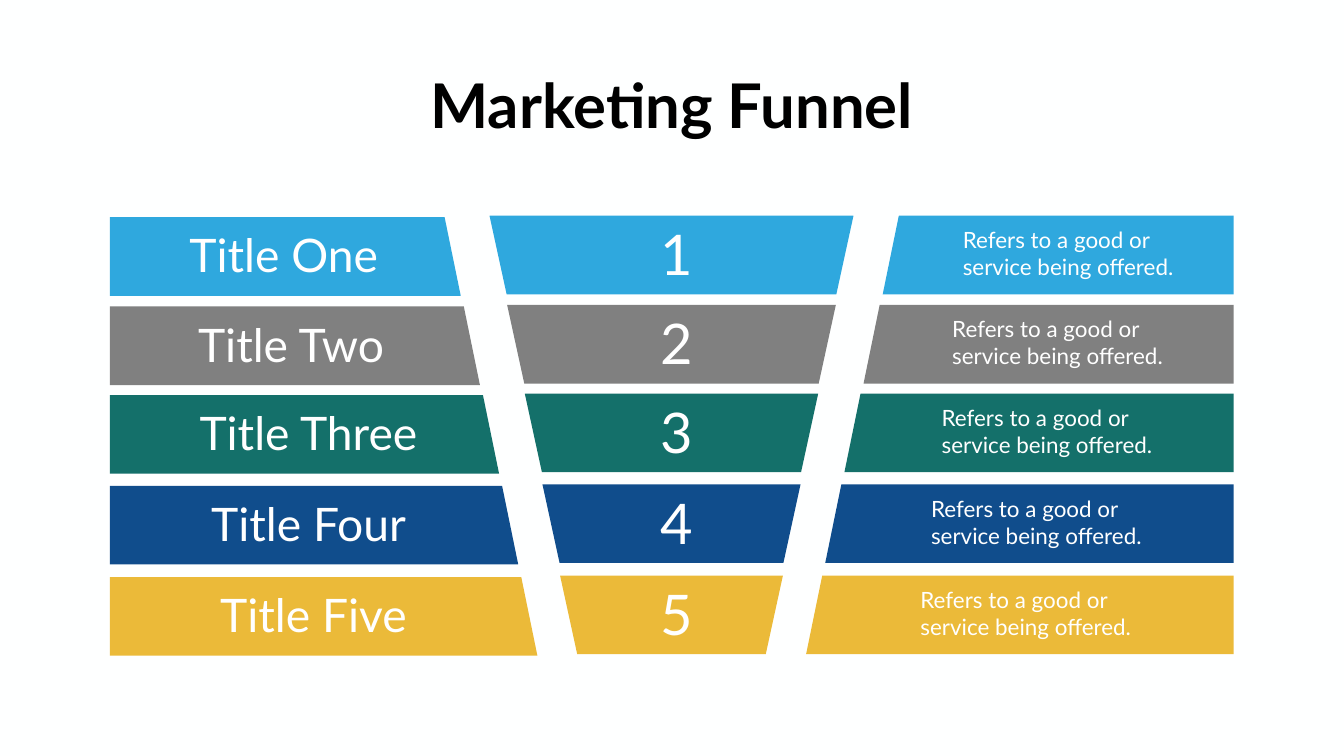
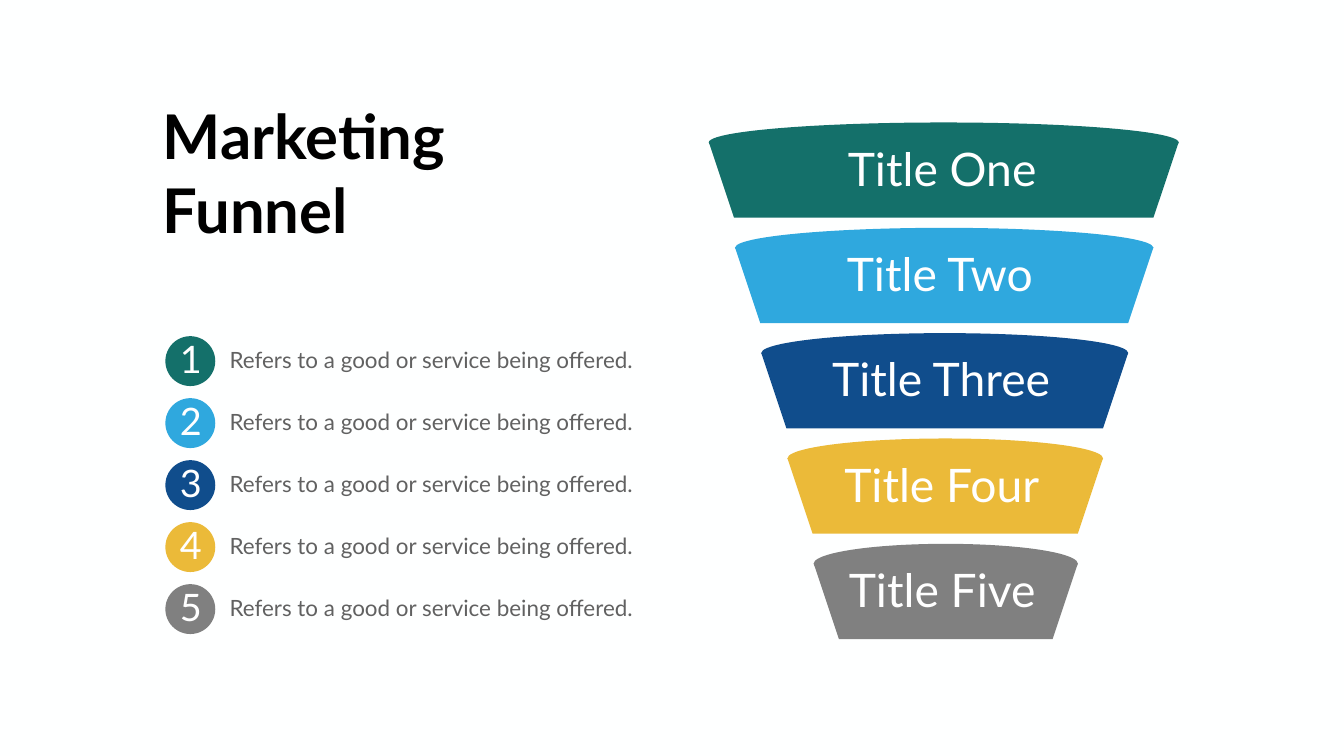
from pptx import Presentation
from pptx import util as u
from pptx.dml.color import RGBColor
from pptx.enum import shapes, text

PX = u.Inches(0.01)
FONT = "Lato"
PAPER = RGBColor(0xFE, 0xFF, 0xFF)
WHITE = RGBColor(0xFF, 0xFF, 0xFF)
BLACK = RGBColor(0x00, 0x00, 0x00)
SLATE = RGBColor(0x61, 0x61, 0x61)
SKY = RGBColor(0x2F, 0xA8, 0xDE)
GRAY = RGBColor(0x80, 0x80, 0x80)
TEAL = RGBColor(0x14, 0x70, 0x6A)
NAVY = RGBColor(0x10, 0x4D, 0x8C)
GOLD = RGBColor(0xEB, 0xBA, 0x39)

STAGES = [("Title One", 400), ("Title Two", 405), ("Title Three", 463),
          ("Title Four", 415), ("Title Five", 396)]  # label and its width
CAPTION = ["Refers to a good or", "service being offered."]
ROW_HEIGHT = 156


def add_slide(deck):
    slide = deck.slides.add_slide(deck.slide_layouts[6])
    slide.background.fill.solid()
    slide.background.fill.fore_color.rgb = PAPER
    return slide


def paint(shape, color):
    shape.shadow.inherit = False
    shape.fill.solid()
    shape.fill.fore_color.rgb = color
    shape.line.fill.background()


def add_outline(slide, points, color):
    builder = slide.shapes.build_freeform(*points[0], scale=PX)
    builder.add_line_segments(points[1:], close=True)
    paint(builder.convert_to_shape(), color)


def add_oval(slide, left, top, width, height, color):
    oval = slide.shapes.add_shape(shapes.MSO_SHAPE.OVAL,
                                  left * PX, top * PX, width * PX, height * PX)
    paint(oval, color)


def add_text(slide, box, lines, size, color=WHITE, bold=None,
             centered=False, wrap=False):
    frame = slide.shapes.add_textbox(*(side * PX for side in box)).text_frame
    frame.word_wrap = wrap
    frame.auto_size = text.MSO_AUTO_SIZE.SHAPE_TO_FIT_TEXT
    frame.text = "\n".join(lines)
    for paragraph in frame.paragraphs:
        if centered:
            paragraph.alignment = text.PP_ALIGN.CENTER
        paragraph.font.name = FONT
        paragraph.font.size = u.Pt(size)
        paragraph.font.bold = bold
        paragraph.font.color.rgb = color


def add_heading(slide, box, lines, centered=False):
    add_text(slide, box, lines, 88, BLACK, True, centered)


def add_stage_label(slide, label, left, top, width):
    add_text(slide, (left, top, width, 121), [label], 66)


def add_tier(slide, left, top, width, height, slant, color):
    """Trapezoid whose two sides lean inwards going down."""
    right, bottom = left + width, top + height
    add_outline(slide, [(left, top), (left + slant, bottom),
                        (right - slant, bottom), (right, top)], color)


def add_wing(slide, edge, top, width, toward, color):
    """Bar with a straight outer edge; toward is 1 or -1, the funnel's side."""
    inner, bottom = edge + toward * width, top + ROW_HEIGHT
    add_outline(slide, [(edge, bottom), (inner, bottom),
                        (inner - toward * 32, top), (edge, top)], color)


def add_funnel_row(slide, index, left, top, color):
    """One row of left wing, numbered tier and right wing."""
    inset, wing = 35 * index, 696 + 38 * index
    add_tier(slide, left + 753 + inset, top, 722 - 2 * inset, ROW_HEIGHT, 34, color)
    add_wing(slide, left + 2229, top, wing, -1, color)
    add_wing(slide, left, top + 3, wing, 1, color)
    add_text(slide, (left + 1083, top + 3, 85, 145), [str(index + 1)], 80)
    add_text(slide, (left + 1682 - 21 * index, top + 16, 446, 118), CAPTION, 32)


def build_winged_funnel(deck):
    slide = add_slide(deck)
    add_heading(slide, (832, 128, 1001, 158), ["Marketing Funnel"], centered=True)
    left = 218
    tops = [428, 605, 781, 961, 1142]
    label_offsets = [148, 165, 168, 191, 209]
    colors = [SKY, GRAY, TEAL, NAVY, GOLD]
    for index, (label, width) in enumerate(STAGES):
        top = tops[index]
        add_funnel_row(slide, index, left, top, colors[index])
        add_stage_label(slide, label, left + label_offsets[index], top + 17, width)


def add_curved_tier(slide, left, top, width, color):
    add_tier(slide, left, top + 39, width, 150, 50, color)
    add_oval(slide, left, top, width, 79, color)


def add_legend_item(slide, left, top, number, color):
    add_oval(slide, left, top, 99, 99, color)
    add_text(slide, (left + 19, top - 5, 64, 101), [str(number)], 54)
    add_text(slide, (left + 113, top + 14, 829, 64), [" ".join(CAPTION)], 32,
             SLATE, centered=True, wrap=True)


def build_curved_funnel(deck):
    slide = add_slide(deck)
    add_heading(slide, (313, 189, 595, 306), ["Marketing", "Funnel"])
    colors = [TEAL, SKY, NAVY, GOLD, GRAY]
    for index, (label, width) in enumerate(STAGES):
        top = 243 + 209 * index
        add_curved_tier(slide, 1406 + 52 * index, top, 932 - 102 * index, colors[index])
        add_stage_label(slide, label, 1872 - width // 2, top + 30, width)
        add_legend_item(slide, 328, 667 + 123 * index, index + 1, colors[index])


def main():
    deck = Presentation()
    deck.slide_width, deck.slide_height = 2666 * PX, 1500 * PX
    build_winged_funnel(deck)
    build_curved_funnel(deck)
    deck.save("out.pptx")


if __name__ == "__main__":
    main()
